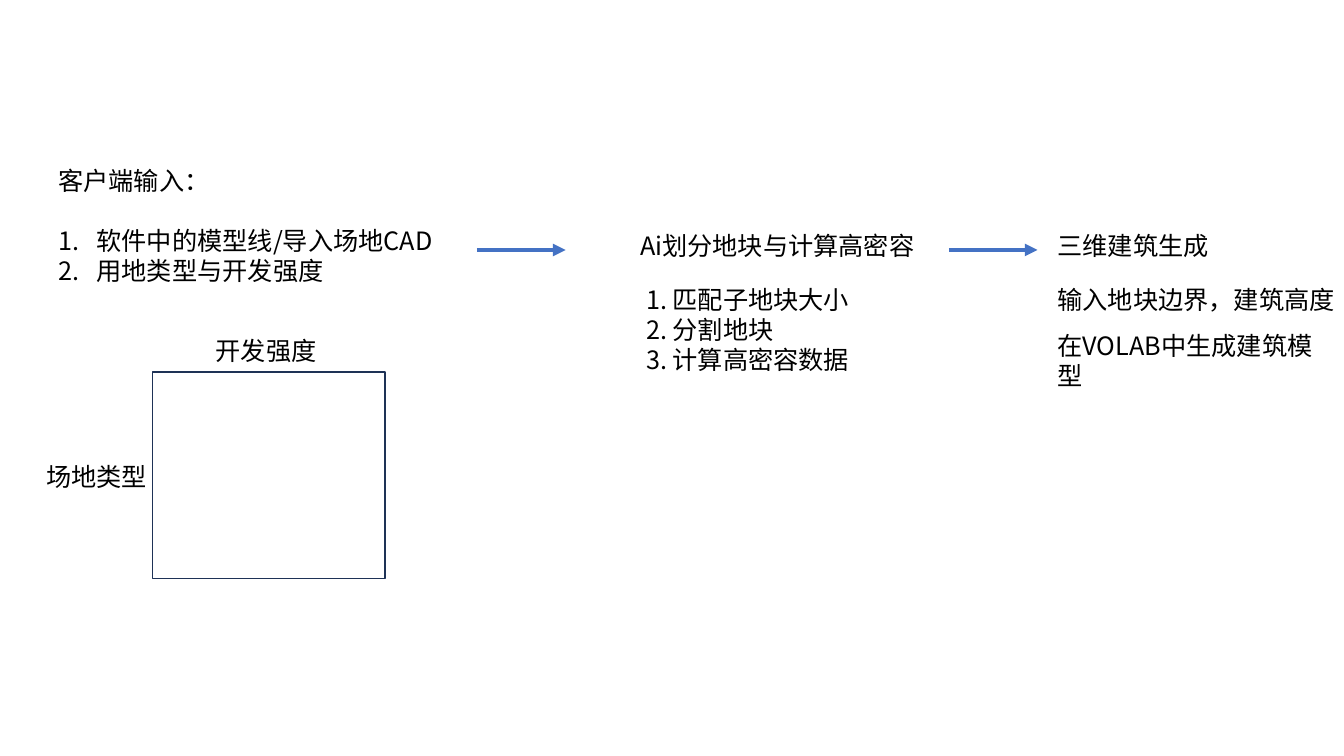
from dataclasses import dataclass

from pptx import Presentation, util as u
from pptx.dml.color import RGBColor
from pptx.enum import shapes, text
from pptx.oxml.ns import qn
from lxml import etree

PX = 9144  # EMU in one px, 100 px to the inch


@dataclass(frozen=True)
class Theme:
    font: str = "Noto Sans CJK SC"
    size: float = 18
    lead: float = 21.4
    ink: str = "000000"
    paper: str = "FFFFFF"
    frame: str = "1E3256"
    arrow: str = "4472C4"


THEME = Theme()


def px(*nums):
    return [u.Emu(n * PX) for n in nums]


def rgb(code):
    return RGBColor.from_string(code)


def write(slide, box, lines):
    """Add a wrapped text box and return its paragraphs."""
    frame = slide.shapes.add_textbox(*px(*box)).text_frame
    frame.word_wrap = True
    frame.vertical_anchor = text.MSO_ANCHOR.TOP
    frame.margin_top = u.Emu(7 * PX)
    frame.text = "\n".join(lines)
    for para in frame.paragraphs:
        para.line_spacing = u.Pt(THEME.lead)
        para.font.name = THEME.font
        para.font.size = u.Pt(THEME.size)
        para.font.color.rgb = rgb(THEME.ink)
        for run in para.runs:
            props = run._r.get_or_add_rPr()
            etree.SubElement(props, qn("a:ea"), typeface=THEME.font)
    return frame.paragraphs


def number(para, indent):
    props = para._p.get_or_add_pPr()
    props.set("marL", str(indent * PX))
    props.set("indent", str(-indent * PX))
    mark = etree.Element(qn("a:buAutoNum"), type="arabicPeriod")
    props.find(qn("a:defRPr")).addprevious(mark)


def arrow(slide, x, y, wide):
    line = slide.shapes.add_connector(
        shapes.MSO_CONNECTOR.STRAIGHT, *px(x, y, x + wide, y))
    line.line.color.rgb = rgb(THEME.arrow)
    line.line.width = u.Pt(3)
    etree.SubElement(line.line._get_or_add_ln(), qn("a:tailEnd"), type="triangle")
    etree.SubElement(line._element.spPr, qn("a:effectLst"))


def intake(slide, x, y):
    """Client input list."""
    paras = write(slide, (x, y, 394, 131),
                  ["客户端输入：", "软件中的模型线/导入场地CAD", "用地类型与开发强度"])
    for para in paras[1:]:
        number(para, 38)
    paras[1].space_before = u.Pt(THEME.lead)


def matrix(slide, x, y, wide, high):
    """Empty square with a label for each axis."""
    rect = slide.shapes.add_shape(
        shapes.MSO_SHAPE.RECTANGLE, *px(x, y, wide, high))
    rect.shadow.inherit = False
    rect.fill.solid()
    rect.fill.fore_color.rgb = rgb(THEME.paper)
    rect.line.color.rgb = rgb(THEME.frame)
    rect.line.width = u.Pt(1)
    write(slide, (x + 53, y - 43, 121, 40), ["开发强度"])
    write(slide, (x - 115, y + 82, 121, 40), ["场地类型"])


def divide(slide, x, y):
    """Plot division by AI."""
    write(slide, (x + 6, y + 53, 223, 101),
          ["1. 匹配子地块大小", "2. 分割地块", "3. 计算高密容数据"])
    write(slide, (x, y, 294, 40), ["Ai划分地块与计算高密容"])


def build(slide, x, y):
    """Building generation."""
    rows = [(0, 172, "三维建筑生成"),
            (53, 298, "输入地块边界，建筑高度"),
            (99, 296, "在VOLAB中生成建筑模型")]
    for drop, wide, words in rows:
        write(slide, (x, y + drop, wide, 40), [words])


def main():
    deck = Presentation()
    deck.slide_width, deck.slide_height = px(1333, 750)
    slide = deck.slides.add_slide(deck.slide_layouts[6])
    top = 222
    intake(slide, 48, 157)
    matrix(slide, 151, 369, 231, 205)
    divide(slide, 625, top)
    build(slide, 1039, top)
    for x in (473, 941):
        arrow(slide, x, top + 26, 88)
    deck.save("out.pptx")


if __name__ == "__main__":
    main()
